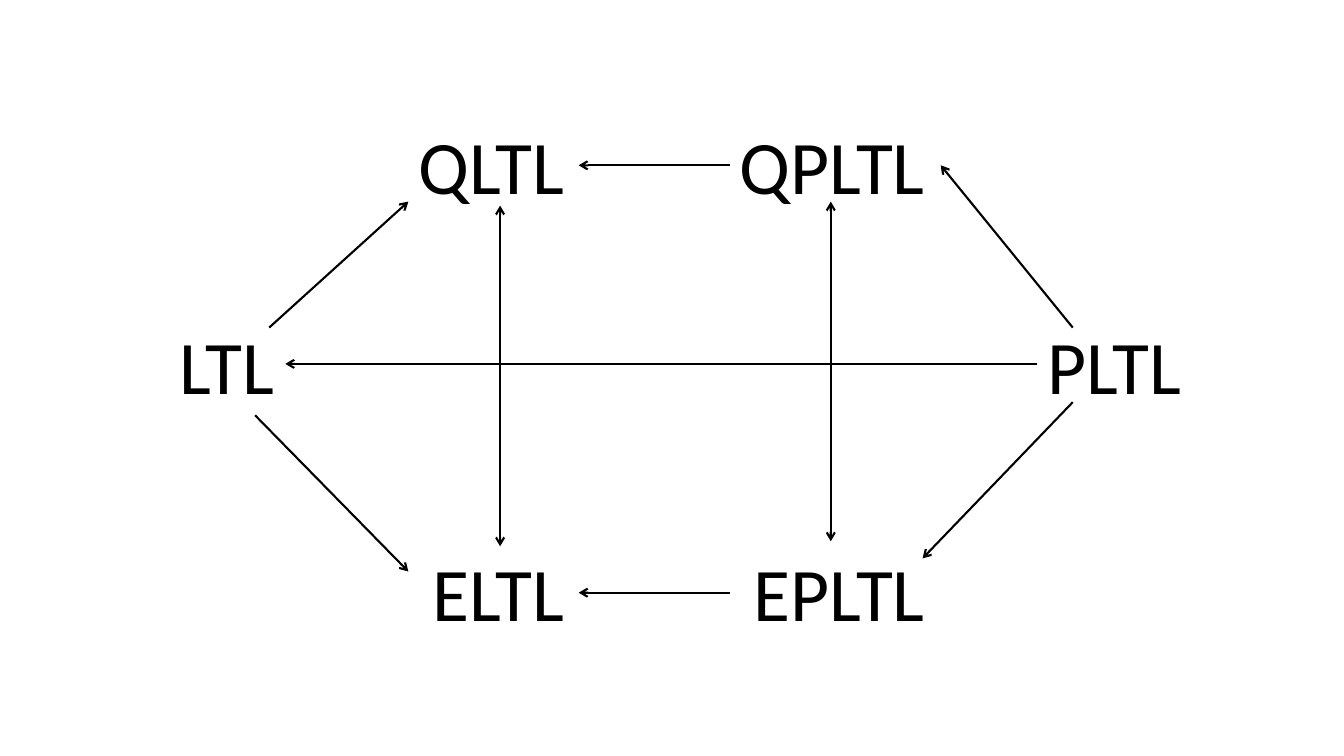
import pptx
import pptx.util
import pptx.dml.color
import pptx.enum.shapes
import pptx.enum.text
import pptx.oxml
import pptx.oxml.ns

Inches = pptx.util.Inches
COLORS = {"ink": "000000"}
ink = pptx.dml.color.RGBColor.from_string(COLORS["ink"])

deck = pptx.Presentation()
deck.slide_width = Inches(13.33)
deck.slide_height = Inches(7.5)
slide = deck.slides.add_slide(deck.slide_layouts[6])

top, mid, low = 1.13, 3.11, 5.37
logics = [
    ("LTL", 1.68, mid, 1.15),
    ("PLTL", 10.29, mid, 1.57),
    ("EPLTL", 7.38, low, 1.94),
    ("QPLTL", 7.24, top, 2.09),
    ("ELTL", 4.19, low, 1.52),
    ("QLTL", 4.05, top, 1.68),
]
for name, x, y, width in logics:
    box = slide.shapes.add_textbox(Inches(x), Inches(y), Inches(width), Inches(1.01))
    frame = box.text_frame
    frame.word_wrap = False
    frame.auto_size = pptx.enum.text.MSO_AUTO_SIZE.SHAPE_TO_FIT_TEXT
    label = frame.paragraphs[0]
    label.text = name
    label.font.name = "Calibri"
    label.font.size = pptx.util.Pt(54)
    label.font.color.rgb = ink

one, both = ["tailEnd"], ["headEnd", "tailEnd"]
arrows = [
    (4.96, 5.42, 4.96, 2.04, both),
    (8.24, 5.37, 8.24, 2, both),
    (10.29, 3.61, 2.83, 3.61, one),
    (2.67, 3.25, 4.05, 2, one),
    (2.53, 4.12, 4.05, 5.67, one),
    (10.64, 3.25, 9.33, 1.64, one),
    (10.64, 3.99, 9.15, 5.54, one),
    (7.24, 1.64, 5.74, 1.64, one),
    (7.24, 5.88, 5.74, 5.88, one),
]
for *ends, tips in arrows:
    arrow = slide.shapes.add_connector(
        pptx.enum.shapes.MSO_CONNECTOR.STRAIGHT, *map(Inches, ends))
    arrow.line.color.rgb = ink
    arrow.line.width = pptx.util.Pt(1.5)
    props = arrow._element.spPr
    stroke = props.find(pptx.oxml.ns.qn("a:ln"))
    for tip in tips:
        stroke.append(pptx.oxml.parse_xml(
            f'<a:{tip} {pptx.oxml.ns.nsdecls("a")} type="arrow"/>'))
    props.append(pptx.oxml.parse_xml(
        f'<a:effectLst {pptx.oxml.ns.nsdecls("a")}/>'))

deck.save("out.pptx")
